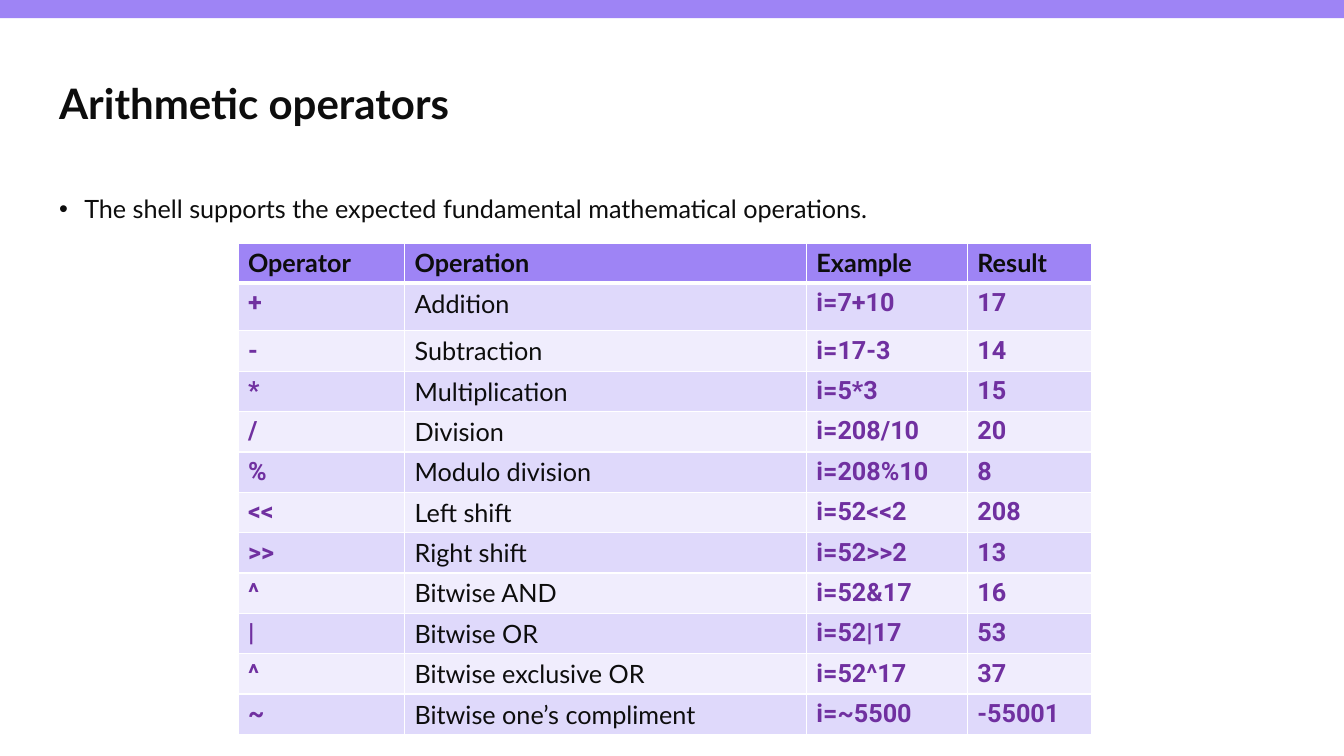
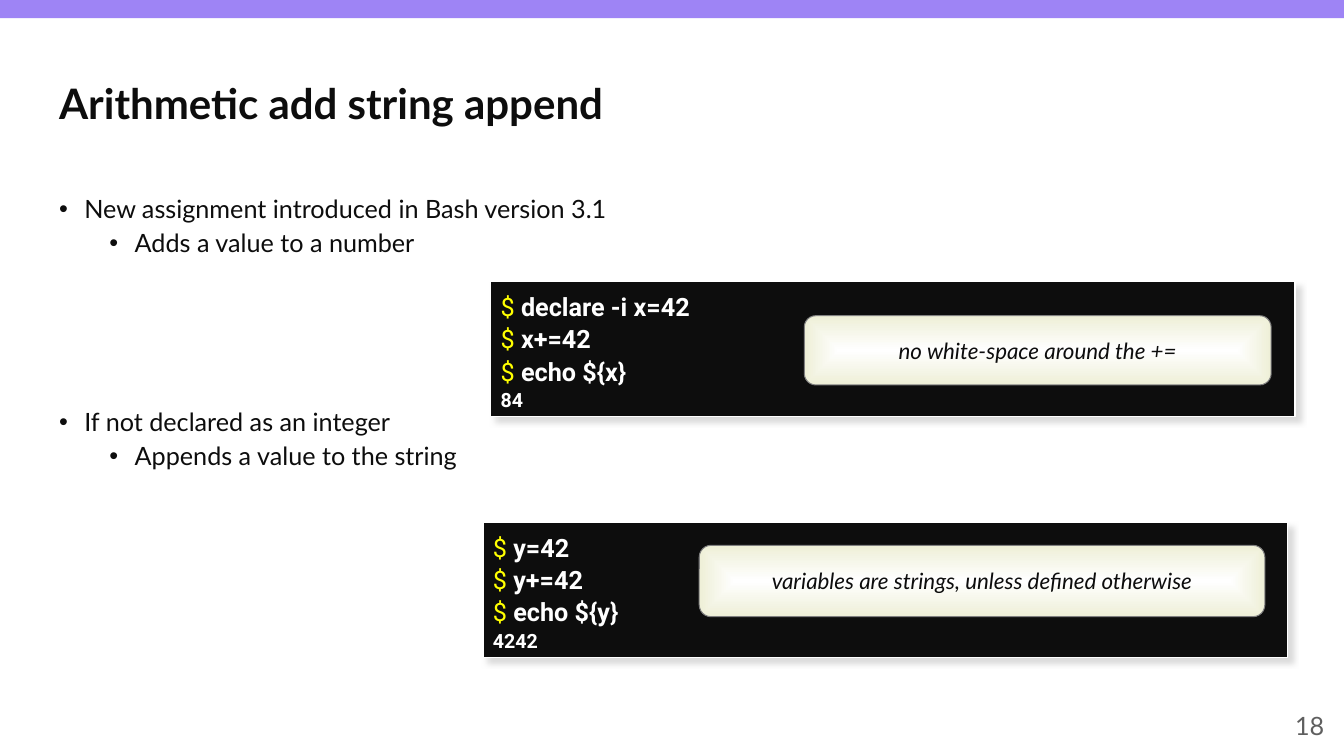
from pptx import Presentation
from pptx.dml.color import RGBColor
from pptx.enum.shapes import MSO_SHAPE as Shape
from pptx.enum.text import MSO_ANCHOR as Anchor, MSO_AUTO_SIZE as AutoSize, PP_ALIGN as Align
from pptx.oxml import parse_xml
from pptx.oxml.ns import nsdecls, qn
from pptx.util import Pt

COLORS = {
    "accent": "9E84F5",
    "row_dark": "DFD9FB",
    "row_light": "F0EDFD",
    "text": "0D0D0D",
    "code": "7030A0",
    "prompt": "FFFF00",
    "white": "FFFFFF",
    "callout_edge": "EEEFD7",
    "callout_line": "808080",
    "shadow": "DADADA",
    "number": "5F5F5F",
}
RGB = {name: RGBColor.from_string(value) for name, value in COLORS.items()}

STYLES = {
    "title": {"name": "Lato", "size": Pt(30), "bold": True},
    "body": {"name": "Lato", "size": Pt(18), "bold": False},
    "header": {"name": "Lato", "size": Pt(18), "bold": True},
    "code": {"name": "Roboto", "size": Pt(18), "bold": True},
    "prompt": {"name": "Roboto", "size": Pt(18), "bold": False},
    "output": {"name": "Roboto", "size": Pt(14), "bold": True},
    "callout": {"name": "Lato", "size": Pt(16), "bold": False, "italic": True},
}

SLIDES = [
    ("Arithmetic operators", [
        (0, 0, "The shell supports the expected fundamental mathematical operations."),
    ]),
    ("Arithmetic add string append", [
        (0, 0, "New assignment introduced in Bash version 3.1"),
        (1, 5, "Adds a value to a number"),
        (0, 108, "If not declared as an integer"),
        (1, 5, "Appends a value to the string"),
    ]),
]

OPERATORS = [
    ("Operator", "Operation", "Example", "Result"),
    ("+", "Addition", "i=7+10", "17"),
    ("-", "Subtraction", "i=17-3", "14"),
    ("*", "Multiplication", "i=5*3", "15"),
    ("/", "Division", "i=208/10", "20"),
    ("%", "Modulo division", "i=208%10", "8"),
    ("<<", "Left shift", "i=52<<2", "208"),
    (">>", "Right shift", "i=52>>2", "13"),
    ("^", "Bitwise AND", "i=52&17", "16"),
    ("|", "Bitwise OR", "i=52|17", "53"),
    ("^", "Bitwise exclusive OR", "i=52^17", "37"),
    ("~", "Bitwise one’s compliment", "i=~5500", "-55001"),
]
COLUMN_WIDTHS = [119, 287, 115, 89]

TERMINALS = [
    ((350.5, 201), ["declare -i x=42", "x+=42", "echo ${x}"], "84",
     (574.5, 225.5, 333.5, 49.5), "no white-space around the +="),
    ((345, 373), ["y=42", "y+=42", "echo ${y}"], "4242",
     (499.5, 389.5, 404, 51), "variables are strings, unless defined otherwise"),
]


def add_run(paragraph, text, style, color="text"):
    run = paragraph.add_run()
    run.text = text
    for attribute, value in STYLES[style].items():
        setattr(run.font, attribute, value)
    run.font.color.rgb = RGB[color]


def add_box(slide, kind, bounds, line_color, line_width):
    shape = slide.shapes.add_shape(kind, *(Pt(value) for value in bounds))
    shape.shadow.inherit = False
    shape.line.color.rgb = RGB[line_color]
    shape.line.width = Pt(line_width)
    return shape


presentation = Presentation()
presentation.slide_width = Pt(960)
presentation.slide_height = Pt(540)
layout = presentation.slide_layouts[1]

for placeholder, top, height, anchor in zip(
        layout.placeholders, (39.5, 137), (68, 343), (Anchor.MIDDLE, Anchor.TOP)):
    placeholder.left, placeholder.top = Pt(35), Pt(top)
    placeholder.width, placeholder.height = Pt(890), Pt(height)
    placeholder.text_frame.vertical_anchor = anchor
    placeholder.text_frame.auto_size = AutoSize.NONE

slides = []
for title, bullets in SLIDES:
    slide = presentation.slides.add_slide(layout)
    slides.append(slide)
    paragraph = slide.shapes.title.text_frame.paragraphs[0]
    paragraph.alignment = Align.LEFT
    add_run(paragraph, title, "title")
    body = slide.placeholders[1].text_frame
    for index, (level, space_before, text) in enumerate(bullets):
        paragraph = body.add_paragraph() if index else body.paragraphs[0]
        properties = paragraph._p.get_or_add_pPr()
        properties.set("marL", str(Pt(18 + 36 * level)))
        properties.set("indent", str(Pt(-18)))
        properties.append(parse_xml(f'<a:buFont {nsdecls("a")} typeface="Arial"/>'))
        properties.append(parse_xml(f'<a:buChar {nsdecls("a")} char="•"/>'))
        paragraph.level = level
        paragraph.line_spacing = 0.9
        paragraph.space_before = Pt(space_before)
        add_run(paragraph, text, "body")

operator_slide, append_slide = slides

band = add_box(operator_slide, Shape.RECTANGLE, (0, 0, 960, 13), "accent", 0)
band.fill.solid()
band.fill.fore_color.rgb = RGB["accent"]
band.line.fill.background()
presentation.slide_master.shapes.element.insert(2, band.element)

table = operator_slide.shapes.add_table(
    len(OPERATORS), len(COLUMN_WIDTHS), Pt(170), Pt(173.5), Pt(610), Pt(350.8)).table
for column, width in zip(table.columns, COLUMN_WIDTHS):
    column.width = Pt(width)
for row_index, texts in enumerate(OPERATORS):
    table.rows[row_index].height = Pt(34 if row_index == 1 else 28.8)
    if row_index == 0:
        fill = "accent"
    else:
        fill = "row_dark" if row_index % 2 else "row_light"
    borders = {
        "L": 1,
        "R": 1,
        "T": 3 if row_index == 1 else 1,
        "B": 3 if row_index == 0 else 1,
    }
    for column_index, text in enumerate(texts):
        cell = table.cell(row_index, column_index)
        properties = cell._tc.get_or_add_tcPr()
        for side, width in borders.items():
            properties.append(parse_xml(
                f'<a:ln{side} {nsdecls("a")} w="{Pt(width)}"><a:solidFill>'
                f'<a:srgbClr val="{COLORS["white"]}"/></a:solidFill></a:ln{side}>'))
        cell.fill.solid()
        cell.fill.fore_color.rgb = RGB[fill]
        if row_index == 0:
            style, color = "header", "text"
        elif column_index == 1:
            style, color = "body", "text"
        else:
            style, color = "code", "code"
        add_run(cell.text_frame.paragraphs[0], text, style, color)

number = append_slide.shapes.add_textbox(Pt(737), Pt(504), Pt(216), Pt(29)).text_frame
number.word_wrap = True
number.vertical_anchor = Anchor.MIDDLE
number.paragraphs[0].alignment = Align.RIGHT
add_run(number.paragraphs[0], "18", "body", "number")

for position, commands, output, callout_bounds, note in TERMINALS:
    terminal = add_box(append_slide, Shape.RECTANGLE, (*position, 574.5, 96.5), "white", 1)
    terminal.fill.solid()
    terminal.fill.fore_color.rgb = RGB["text"]
    terminal.element.spPr.find(qn("a:effectLst")).append(parse_xml(
        f'<a:outerShdw {nsdecls("a")} blurRad="{Pt(4)}" dist="{Pt(5)}" dir="2700000" '
        f'algn="tl" rotWithShape="0"><a:srgbClr val="{COLORS["shadow"]}"/></a:outerShdw>'))
    frame = terminal.text_frame
    frame.word_wrap = True
    frame.vertical_anchor = Anchor.TOP
    frame.margin_top, frame.margin_bottom = Pt(7.2), Pt(4.3)
    for index, text in enumerate([*commands, output]):
        paragraph = frame.add_paragraph() if index else frame.paragraphs[0]
        paragraph.alignment = Align.LEFT
        paragraph.space_before = Pt(1.4 if index else 0)
        if index < len(commands):
            add_run(paragraph, "$ ", "prompt", "prompt")
            add_run(paragraph, text, "code", "white")
        else:
            add_run(paragraph, text, "output", "white")

    callout = add_box(append_slide, Shape.ROUNDED_RECTANGLE, callout_bounds, "callout_line", 0.75)
    callout.fill.gradient()
    for stop, place, color in zip(
            callout.fill.gradient_stops, (0, 1), ("white", "callout_edge")):
        stop.position = place
        stop.color.rgb = RGB[color]
    gradient = callout.element.spPr.find(qn("a:gradFill"))
    gradient.replace(gradient.find(qn("a:lin")), parse_xml(
        f'<a:path {nsdecls("a")} path="shape">'
        '<a:fillToRect l="50000" t="50000" r="50000" b="50000"/></a:path>'))
    frame = callout.text_frame
    frame.word_wrap = False
    frame.vertical_anchor = Anchor.MIDDLE
    frame.paragraphs[0].alignment = Align.CENTER
    add_run(frame.paragraphs[0], note, "callout")

presentation.save("out.pptx")
